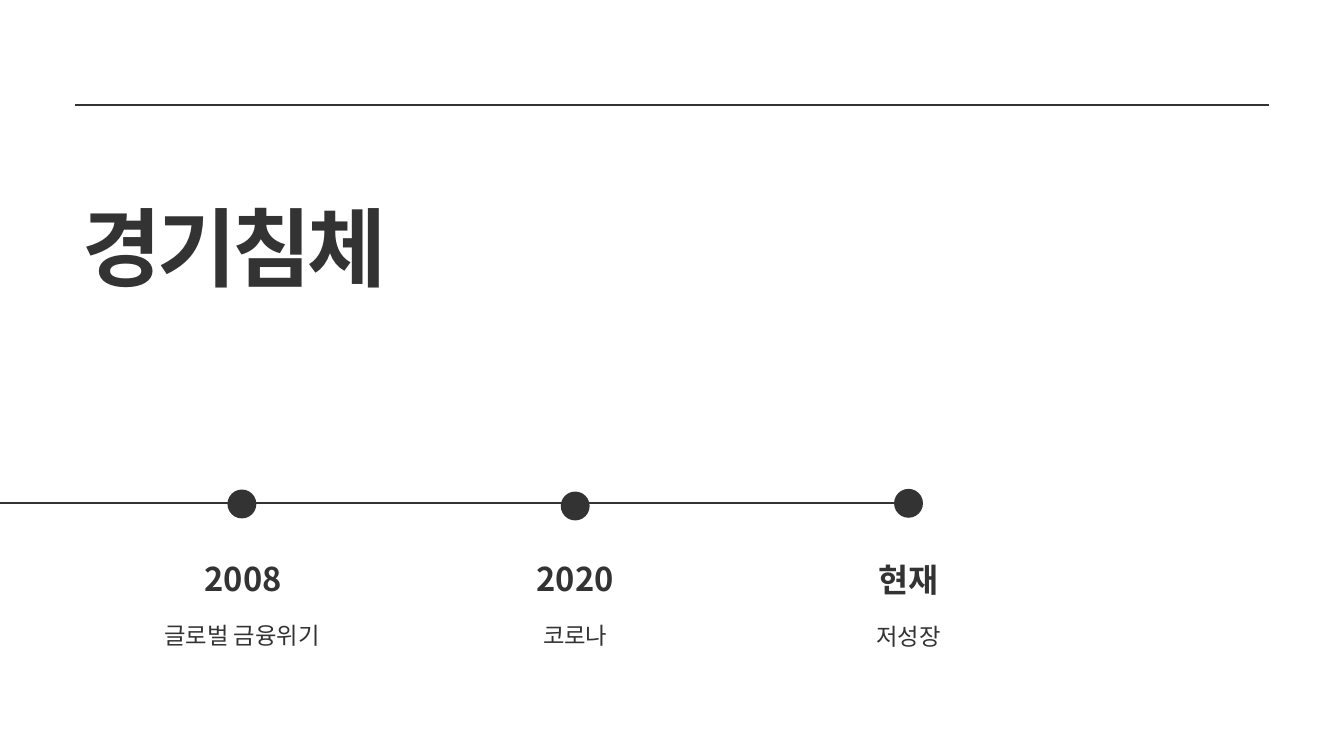
"""Build a timeline slide on economic downturns."""
from lxml import etree
from pptx import Presentation
from pptx.dml.color import RGBColor
from pptx.enum.shapes import MSO_CONNECTOR, MSO_SHAPE
from pptx.enum.text import MSO_ANCHOR, MSO_AUTO_SIZE, PP_ALIGN
from pptx.oxml.ns import qn
from pptx.util import Inches, Pt

TITLE = "경기침체"
EVENTS = [
    {"year": "2008", "label": "글로벌 금융위기", "year_x": 3.62, "dot_y": 7.5, "year_y": 8.31, "label_y": 9.17},
    {"year": "2020", "label": "코로나", "year_x": 8.56, "dot_y": 7.53, "year_y": 8.31, "label_y": 9.17},
    {"year": "현재", "label": "저성장", "year_x": 13.52, "dot_y": 7.49, "year_y": 8.33, "label_y": 9.19},
]

FONT = "Noto Sans CJK KR"
INK = RGBColor(0x33, 0x33, 0x33)
WHITE = RGBColor(0xFF, 0xFF, 0xFF)
STRAIGHT, OVAL = MSO_CONNECTOR.STRAIGHT, MSO_SHAPE.OVAL
TOP, GROW = MSO_ANCHOR.TOP, MSO_AUTO_SIZE.SHAPE_TO_FIT_TEXT
LEFT, CENTER = PP_ALIGN.LEFT, PP_ALIGN.CENTER

FIRST_X, STEP, DOT = 3.6, 4.96, 0.43
AXIS_Y = 7.49
YEAR_W, YEAR_H, LABEL_H = 3.47, 0.58, 0.47
FRAME = {"margin_left": 0, "margin_right": 0, "margin_top": 0, "margin_bottom": 0,
         "word_wrap": True, "auto_size": GROW, "vertical_anchor": TOP}


def set_all(target, values):
    for name, value in values.items():
        setattr(target, name, value)


def write(tf, text, size, spacing, bold=False, align=CENTER):
    set_all(tf, FRAME)
    p = tf.paragraphs[0]
    set_all(p, {"alignment": align, "line_spacing": Pt(spacing)})
    r = p.add_run()
    r.text = text
    set_all(r.font, {"name": FONT, "size": Pt(size), "bold": bold})
    r.font.color.rgb = INK
    rPr = r.font._element
    etree.SubElement(rPr, qn("a:ea")).set("typeface", FONT)
    return rPr


def add_label(s, center, top, width, height, *text_args):
    box = s.shapes.add_textbox(Inches(center - width / 2), Inches(top), Inches(width), Inches(height))
    write(box.text_frame, *text_args)


def add_rule(s, x1, x2, y):
    line = s.shapes.add_connector(STRAIGHT, Inches(x1), Inches(y), Inches(x2), Inches(y))
    line.line.color.rgb = INK
    line.line.width = Pt(2.25)
    etree.SubElement(line._element.spPr, qn("a:effectLst"))


def add_dot(s, x, y):
    dot = s.shapes.add_shape(OVAL, Inches(x - DOT / 2), Inches(y - DOT / 2), Inches(DOT), Inches(DOT))
    dot.shadow.inherit = False
    dot.fill.solid()
    dot.fill.fore_color.rgb = INK
    dot.line.fill.background()


def main():
    prs = Presentation()
    set_all(prs, {"slide_width": Inches(20), "slide_height": Inches(11.25)})
    s = prs.slides.add_slide(prs.slide_layouts[5])
    s.background.fill.solid()
    s.background.fill.fore_color.rgb = WHITE

    title = s.shapes.title
    set_all(title, {"left": Inches(1.23), "top": Inches(2.9), "width": Inches(8.88), "height": Inches(1.54)})
    write(title.text_frame, TITLE, 92, 110.4, True, LEFT).set("spc", "-450")

    centers = [FIRST_X + i * STEP for i in range(len(EVENTS))]
    add_rule(s, 1.12, 18.88, 1.56)
    add_rule(s, -STEP, centers[-1], AXIS_Y)
    for x, event in zip(centers, EVENTS):
        add_dot(s, x, event["dot_y"])
        add_label(s, event["year_x"], event["year_y"], YEAR_W, YEAR_H, event["year"], 35, 42, True)
        add_label(s, x, event["label_y"], STEP, LABEL_H, event["label"], 25, 35)

    prs.save("out.pptx")


if __name__ == "__main__":
    main()
